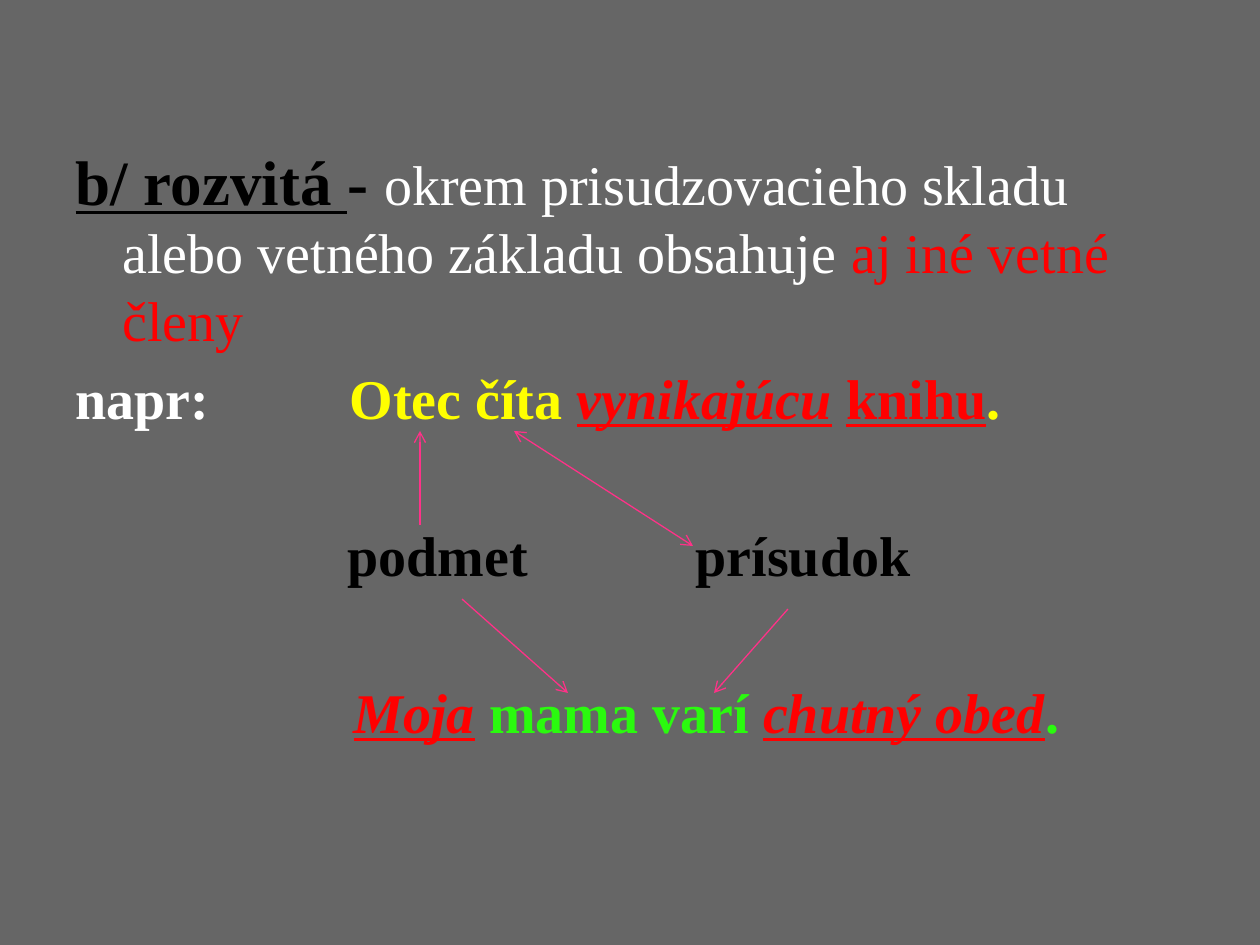
import dataclasses

import lxml.etree
import pptx
import pptx.dml.color
import pptx.enum.shapes
import pptx.enum.text
import pptx.oxml.ns
import pptx.util


@dataclasses.dataclass(frozen=True)
class Theme:
    """Colours, font and type sizes of the slide."""
    back: str = "666666"
    dark: str = "000000"
    light: str = "FFFFFF"
    red: str = "FF0000"
    gold: str = "FFFF00"
    green: str = "2AFA0E"
    pink: str = "FE3288"
    face: str = "Times New Roman"
    head: int = 36
    text: int = 32
    rule: float = 0.75


def px(count):
    """Turn pixels into EMU."""
    return pptx.util.Emu(round(count * 914400 / 126))


def rgb(code):
    """Turn a hex code into a colour."""
    return pptx.dml.color.RGBColor.from_string(code)


def node(parent, tag, **values):
    """Add a drawing element with its attributes."""
    name = pptx.oxml.ns.qn("a:" + tag)
    return lxml.etree.SubElement(parent, name, values)


class Deck:
    """Holds the theme and the current slide."""

    def __init__(self, theme):
        """Start a file with one plain slide."""
        self.theme = theme
        self.file = pptx.Presentation()
        self.file.slide_width, self.file.slide_height = px(1260), px(945)
        self.slide = self.file.slides.add_slide(self.file.slide_layouts[1])
        fill = self.slide.background.fill
        fill.solid()
        fill.fore_color.rgb = rgb(theme.back)
        title = self.slide.shapes.title.element
        title.getparent().remove(title)

    def body(self, left, top, width, height, paras):
        """Place the body and fill in its paragraphs."""
        shape = self.slide.placeholders[1]
        place = dict(left=left, top=top, width=width, height=height)
        for name, value in place.items():
            setattr(shape, name, px(value))
        frame = shape.text_frame
        frame.word_wrap = True
        frame.auto_size = pptx.enum.text.MSO_AUTO_SIZE.NONE
        for index, para in enumerate(paras):
            line = frame.add_paragraph() if index else frame.paragraphs[0]
            self.para(line, **para)

    def para(self, line, runs, left, hang=0, gap=0):
        """Write one paragraph; a tab in it leads to the left margin."""
        props = line._p.get_or_add_pPr()
        props.set("marL", str(px(left)))
        props.set("indent", str(-px(hang)))
        node(props, "buNone")
        line.space_before = pptx.util.Pt(gap)
        for text, style in runs:
            self.run(line, text, **style)

    def run(self, line, text, color, size=None, **style):
        """Add one run of styled text."""
        part = line.add_run()
        part.text = text
        look = dict(name=self.theme.face, size=pptx.util.Pt(size or self.theme.text))
        for name, value in {**look, **style}.items():
            setattr(part.font, name, value)
        part.font.color.rgb = rgb(color)

    def arrow(self, start, end, both=False):
        """Draw an arrow from start to end."""
        kind = pptx.enum.shapes.MSO_CONNECTOR.STRAIGHT
        line = self.slide.shapes.add_connector(kind, *map(px, start + end))
        line.line.color.rgb = rgb(self.theme.pink)
        line.line.width = pptx.util.Pt(self.theme.rule)
        edge = line.line._get_or_add_ln()
        for tag in ("headEnd", "tailEnd") if both else ("tailEnd",):
            node(edge, tag, type="arrow")
        node(line._element.spPr, "effectLst")


def main():
    """Build and save the slide."""
    theme = Theme()
    deck = Deck(theme)
    dark, gold, green, red = (
        dict(color=c, bold=True) for c in (theme.dark, theme.gold, theme.green, theme.red))
    under = dict(red, underline=True)
    slant = dict(under, italic=True)
    head = dict(dark, size=theme.head)
    near, far = 6.4, 51.2
    deck.body(63, 136, 1134, 708, [
        dict(left=47, hang=47, runs=[
            ("b/ rozvitá ", dict(head, underline=True)),
            ("- ", head),
            ("okrem prisudzovacieho skladu alebo vetného základu obsahuje ",
             dict(color=theme.light)),
            ("aj iné vetné členy", dict(color=theme.red))]),
        dict(left=274, hang=274, gap=near, runs=[
            ("napr:", dict(color=theme.light, bold=True)),
            ("\tOtec číta ", gold),
            ("vynikajúcu", slant),
            (" ", red),
            ("knihu", under),
            (".", gold)]),
        dict(left=620, hang=348, gap=far, runs=[("podmet\tprísudok", dark)]),
        dict(left=278, gap=far, runs=[
            ("Moja", slant),
            (" mama varí ", green),
            ("chutný obed", slant),
            (".", green)]),
    ])
    deck.arrow((693, 546), (514, 431), both=True)
    deck.arrow((462, 599), (568, 693))
    deck.arrow((788, 609), (714, 693))
    deck.arrow((420, 525), (420, 431))
    deck.file.save("out.pptx")


if __name__ == "__main__":
    main()
